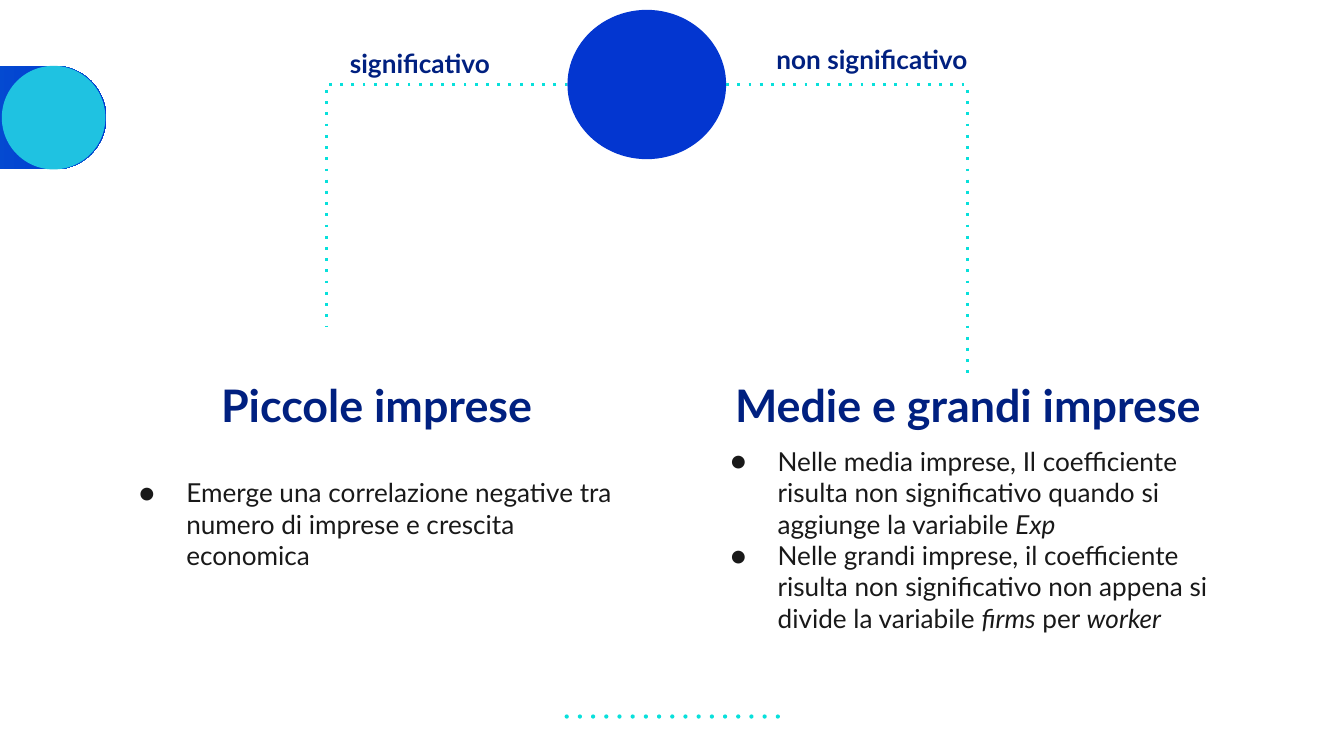
import math
import pptx
import pptx.util
import pptx.dml.color
import pptx.enum.shapes
import pptx.enum.text
import pptx.oxml
import pptx.oxml.ns

Pt = pptx.util.Pt
RGB = pptx.dml.color.RGBColor
KIND = pptx.enum.shapes.MSO_SHAPE
LINK = pptx.enum.shapes.MSO_CONNECTOR
HOOK = pptx.enum.text.MSO_ANCHOR
ALIGN = pptx.enum.text.PP_ALIGN
qn = pptx.oxml.ns.qn

AQUA = RGB(0x08, 0xE0, 0xDB)
BLUE = RGB(0x03, 0x36, 0xD0)
SKY = RGB(0x1F, 0xC2, 0xE1)
NAVY = RGB(0x00, 0x20, 0x80)
INK = RGB(0x19, 0x19, 0x19)

HEAD = dict(name="Lato", size=Pt(24), bold=True)
LABEL = dict(name="Lato", size=Pt(14), bold=True)
BODY = dict(name="Lato", size=Pt(14))

LINE = 16.8
GROUPS = [
    dict(left=56.7, drop=LINE, head="Piccole imprese", items=[
        [("Emerge una correlazione negative tra numero di imprese e crescita economica", False)],
    ]),
    dict(left=373.5, drop=0, head="Medie e grandi imprese", items=[
        [("Nelle media imprese, Il coefficiente risulta non significativo quando si "
          "aggiunge la variabile ", False), ("Exp", True)],
        [("Nelle grandi imprese, il coefficiente risulta non significativo non appena si "
          "divide la variabile ", False), ("firms", True), (" per ", False), ("worker", True)],
    ]),
]
LABELS = [("significativo", 163.5, 22.3, 123), ("non significativo", 393.7, 19.9, 147)]
HUB = (304, 5.3, 85, 80)
REACH = 129.25
ENDS = [(HUB[0], -1, 175), (HUB[0] + HUB[2], 1, 201.6)]
DOTS = dict(count=17, left=302.5, top=382.8, step=7.07, size=2.2)

deck = pptx.Presentation()
deck.slide_width, deck.slide_height = Pt(720), Pt(405)
page = deck.slides.add_slide(deck.slide_layouts[6])


def paint(item, fill):
    item.shadow.inherit = False
    item.line.fill.background()
    item.fill.solid()
    item.fill.fore_color.rgb = fill
    return item


def shape(kind, box, fill):
    return paint(page.shapes.add_shape(kind, *map(Pt, box)), fill)


def ring(left):
    half = DOTS["size"] / 2
    turns = [step * math.pi / 8 for step in range(16)]
    return [(Pt(left + half + half * math.cos(turn)),
             Pt(DOTS["top"] + half + half * math.sin(turn))) for turn in turns]


def style(font, look, color):
    for key, value in look.items():
        setattr(font, key, value)
    font.color.rgb = color


def frame(box, pad, hook):
    text = page.shapes.add_textbox(*map(Pt, box)).text_frame
    look = dict(word_wrap=True, vertical_anchor=hook, margin_left=Pt(7.2),
                margin_right=Pt(7.2), margin_top=Pt(pad), margin_bottom=Pt(pad))
    for key, value in look.items():
        setattr(text, key, value)
    return text


def title(words, box, look):
    para = frame(box, 0, HOOK.BOTTOM).paragraphs[0]
    para.alignment = ALIGN.CENTER
    run = para.add_run()
    run.text = words
    style(run.font, look, NAVY)


def bullet(para):
    props = para._p.get_or_add_pPr()
    props.set("marL", str(Pt(36)))
    props.set("indent", str(Pt(-25.2)))
    color = pptx.oxml.parse_xml(
        '<a:buClr xmlns:a="http://schemas.openxmlformats.org/drawingml/2006/main">'
        f'<a:srgbClr val="{INK}"/></a:buClr>')
    props.append(color)
    for tag, key, value in (("buSzPts", "val", "1400"), ("buFont", "typeface", "Lato"),
                            ("buChar", "char", "●")):
        props.append(props.makeelement(qn("a:" + tag), {key: value}))


def bend(start, side, foot):
    level = HUB[1] + HUB[3] / 2
    spots = (start, level, start + side * REACH, foot)
    line = page.shapes.add_connector(LINK.ELBOW, *map(Pt, spots))
    props = line._element.spPr
    props.find(qn("a:prstGeom")).set("prst", "bentConnector2")
    line.line.color.rgb = AQUA
    line.line.width = Pt(1.5)
    stroke = props.find(qn("a:ln"))
    stroke.append(stroke.makeelement(qn("a:prstDash"), {"val": "dot"}))
    props.append(props.makeelement(qn("a:effectLst"), {}))


spots = [DOTS["left"] + num * DOTS["step"] for num in range(DOTS["count"])]
for spot in (spots[0], spots[-1]):
    shape(KIND.OVAL, (spot, DOTS["top"], DOTS["size"], DOTS["size"]), AQUA)
rings = [ring(spot) for spot in spots[1:-1]]
row = page.shapes.build_freeform(*rings[0][0], scale=1.0)
for num, points in enumerate(rings):
    if num:
        row.move_to(*points[0])
    row.add_line_segments(points[1:], close=True)
paint(row.convert_to_shape(), AQUA)

pill = shape(KIND.ROUNDED_RECTANGLE, (-407.5, 35.3, 464.4, 55.5), BLUE)
pill.adjustments[0] = 0.5
pill.fill.gradient()
pill.fill.gradient_angle = 0
for stop, color in zip(pill.fill.gradient_stops, (AQUA, BLUE)):
    stop.color.rgb = color
shape(KIND.OVAL, (1, 35.3, 55.5, 55.5), SKY)
shape(KIND.OVAL, HUB, BLUE)

for group in GROUPS:
    left, drop = group["left"], group["drop"]
    title(group["head"], (left, 201.3, 290, 30), HEAD)
    text = frame((left, 231.3 + drop, 290, 130 - drop), 7.2, HOOK.TOP)
    for num, parts in enumerate(group["items"]):
        para = text.add_paragraph() if num else text.paragraphs[0]
        bullet(para)
        for words, slant in parts:
            run = para.add_run()
            run.text = words
            style(run.font, dict(BODY, italic=slant), INK)

for end in ENDS:
    bend(*end)
for words, left, top, width in LABELS:
    title(words, (left, top, width, 20), LABEL)

deck.save("out.pptx")
